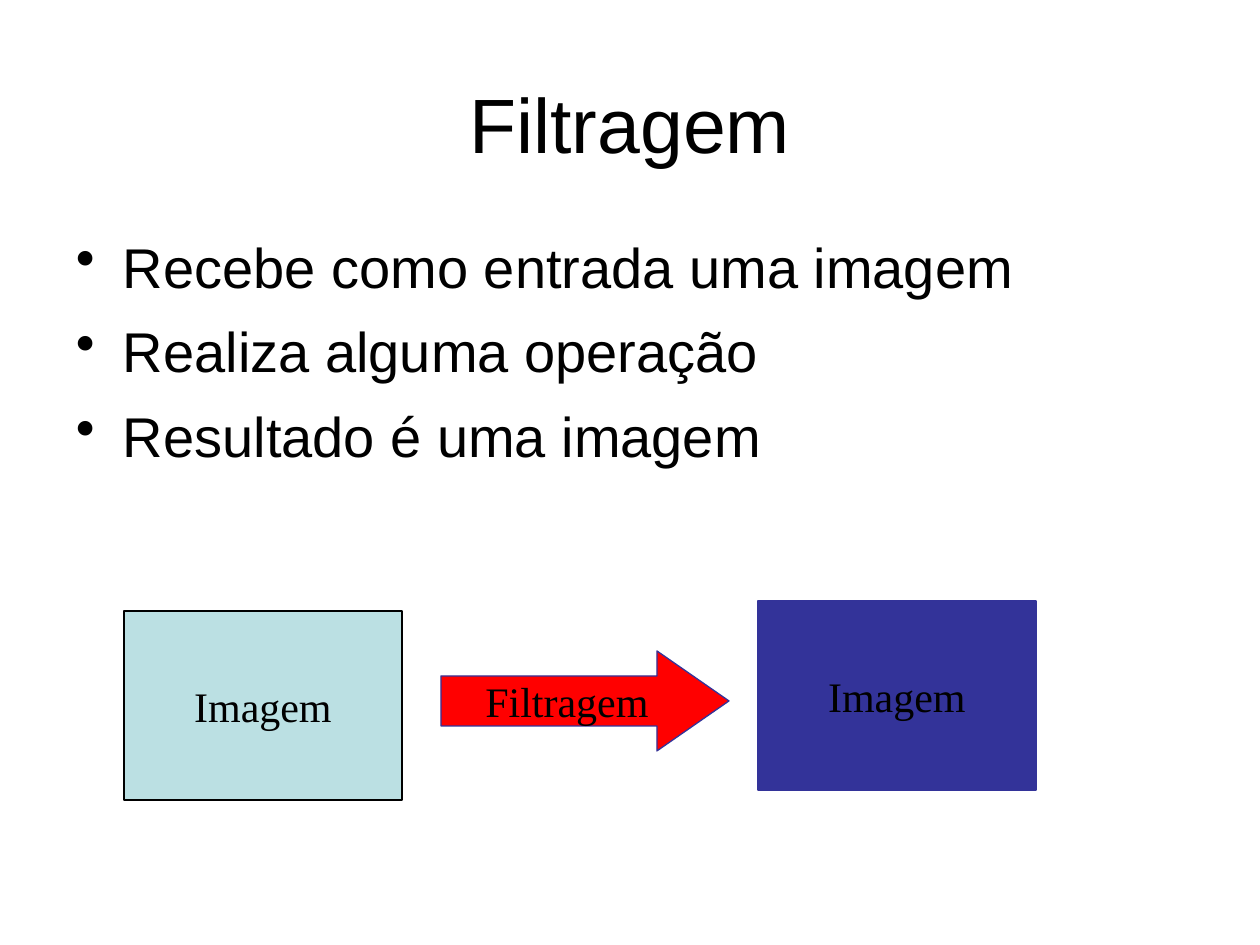
import pptx
import pptx.dml.color
import pptx.enum.shapes
import pptx.enum.text
import pptx.oxml
import pptx.oxml.ns
import pptx.util

PIXELS_PER_INCH = 126
ALIGN = pptx.enum.text.PP_ALIGN
ANCHOR = pptx.enum.text.MSO_ANCHOR
SHAPE = pptx.enum.shapes.MSO_SHAPE


def px(length):
    return round(length * 914400 / PIXELS_PER_INCH)


def color(value):
    return pptx.dml.color.RGBColor.from_string(value)


def apply_format(target, values):
    for name, value in values.items():
        setattr(target, name, value)


class SlideBuilder:
    text_color = "000000"
    title_font = {"name": "Arial", "size": pptx.util.Pt(44)}
    body_font = {"name": "Arial", "size": pptx.util.Pt(32)}
    label_font = {"name": "Times New Roman", "size": pptx.util.Pt(24)}
    bullet_indent = 47

    def __init__(self, slide):
        self.slide = slide

    def format_frame(self, frame, anchor, wrap, margin_top=6):
        apply_format(frame, {
            "word_wrap": wrap,
            "vertical_anchor": anchor,
            "margin_left": px(13),
            "margin_right": px(13),
            "margin_top": px(margin_top),
            "margin_bottom": px(6),
        })

    def fill_paragraph(self, paragraph, text, font, alignment):
        paragraph.text = text
        paragraph.alignment = alignment
        apply_format(paragraph.font, font)
        paragraph.font.color.rgb = color(self.text_color)

    def title(self, box, text):
        frame = self.slide.shapes.add_textbox(*map(px, box)).text_frame
        self.format_frame(frame, ANCHOR.MIDDLE, True, 18)
        self.fill_paragraph(frame.paragraphs[0], text, self.title_font,
                            ALIGN.CENTER)

    def add_bullet(self, paragraph):
        properties = paragraph._p.get_or_add_pPr()
        properties.set("marL", str(px(self.bullet_indent)))
        properties.set("indent", str(-px(self.bullet_indent)))
        bullet = pptx.oxml.parse_xml(
            f'<a:buChar {pptx.oxml.ns.nsdecls("a")} char="•"/>')
        properties.append(bullet)

    def bullets(self, box, items):
        frame = self.slide.shapes.add_textbox(*map(px, box)).text_frame
        self.format_frame(frame, ANCHOR.TOP, True, 12)
        for index, item in enumerate(items):
            paragraph = frame.add_paragraph() if index else frame.paragraphs[0]
            self.add_bullet(paragraph)
            self.fill_paragraph(paragraph, item, self.body_font, ALIGN.LEFT)
            paragraph.space_before = pptx.util.Pt(10 if index else 0)

    def labelled_shape(self, kind, box, text, fill, line, adjustments=()):
        shape = self.slide.shapes.add_shape(kind, *map(px, box))
        shape.shadow.inherit = False
        for index, value in enumerate(adjustments):
            shape.adjustments[index] = value
        shape.fill.solid()
        shape.fill.fore_color.rgb = color(fill)
        shape.line.color.rgb = color(line)
        shape.line.width = pptx.util.Pt(0.75)
        self.format_frame(shape.text_frame, ANCHOR.MIDDLE, False)
        self.fill_paragraph(shape.text_frame.paragraphs[0], text,
                            self.label_font, ALIGN.CENTER)


def main():
    presentation = pptx.Presentation()
    presentation.slide_width = px(1260)
    presentation.slide_height = px(945)
    builder = SlideBuilder(
        presentation.slides.add_slide(presentation.slide_layouts[6]))

    builder.title((63, 38, 1134, 158), "Filtragem")
    builder.bullets((63, 220, 1134, 624), [
        "Recebe como entrada uma imagem",
        "Realiza alguma operação",
        "Resultado é uma imagem",
    ])

    image_size = (278, 189)
    builder.labelled_shape(SHAPE.RECTANGLE, (124, 611, *image_size),
                           "Imagem", "BBE0E3", "000000")
    builder.labelled_shape(SHAPE.RIGHT_ARROW, (441, 651, 288, 100),
                           "Filtragem", "FF0000", "333399", (0.5, 0.72))
    builder.labelled_shape(SHAPE.RECTANGLE, (758, 601, *image_size),
                           "Imagem", "333399", "333399")

    presentation.save("out.pptx")


if __name__ == "__main__":
    main()
